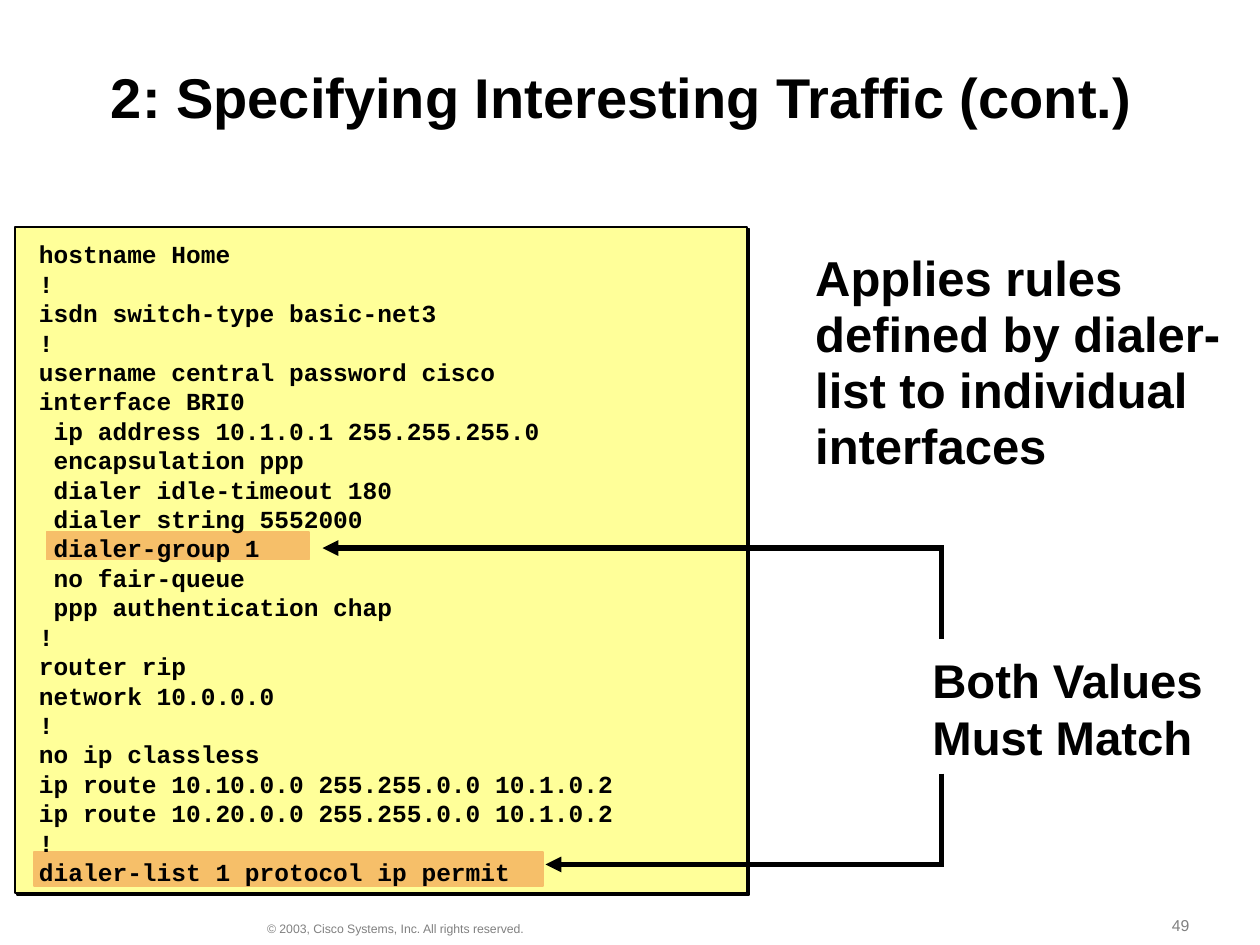
"""Build the slide that matches a dialer-group with its dialer-list."""
from lxml.etree import SubElement
from pptx import Presentation
from pptx.dml.color import RGBColor
from pptx.enum.shapes import MSO_SHAPE
from pptx.enum.text import MSO_ANCHOR, PP_ALIGN
from pptx.oxml.ns import qn
from pptx.util import Inches, Pt

BLACK = RGBColor(0x00, 0x00, 0x00)
GRAY = RGBColor(0x80, 0x80, 0x80)
YELLOW = RGBColor(0xFF, 0xFF, 0x99)
ORANGE = RGBColor(0xF6, 0xBF, 0x69)

TITLE = "2: Specifying Interesting Traffic (cont.)"
RULE_NOTE = "Applies rules defined by dialer-list to individual interfaces"
MATCH_NOTE = "Both Values\vMust Match"
COPYRIGHT = "© 2003, Cisco Systems, Inc. All rights reserved."
PAGE_NUMBER = "49"
CONFIG = """hostname Home
!
isdn switch-type basic-net3
!
username central password cisco
interface BRI0
 ip address 10.1.0.1 255.255.255.0
 encapsulation ppp
 dialer idle-timeout 180
 dialer string 5552000
 dialer-group 1
 no fair-queue
 ppp authentication chap
!
router rip
network 10.0.0.0
!
no ip classless
ip route 10.10.0.0 255.255.0.0 10.1.0.2
ip route 10.20.0.0 255.255.0.0 10.1.0.2
!
dialer-list 1 protocol ip permit"""

HIGHLIGHTS = [(0.27, 6.76, 4.04, 0.27), (0.37, 4.22, 2.08, 0.22)]
ARROW_X = 7.47
ARROWS = [(5.07, 4.35, 2.56), (6.14, 6.86, 4.33)]


def format_text(box, text, size, color=BLACK, font="Arial", bold=True,
                anchor=MSO_ANCHOR.TOP, insets=(0.09, 0.04), spacing=1.0, wrap=True):
    frame = box.text_frame
    frame.text = text
    frame.word_wrap = wrap
    frame.vertical_anchor = anchor
    frame.margin_left = frame.margin_right = Inches(insets[0])
    frame.margin_top = frame.margin_bottom = Inches(insets[1])
    for para in frame.paragraphs:
        para.alignment = PP_ALIGN.LEFT
        para.line_spacing = spacing
        para.font.name = font
        para.font.size = Pt(size)
        para.font.bold = bold
        para.font.color.rgb = color
    return frame


def add_text(page, place, text, size, **style):
    box = page.shapes.add_textbox(*map(Inches, place))
    return format_text(box, text, size, **style)


def add_rectangle(page, place, fill, line=None):
    box = page.shapes.add_shape(MSO_SHAPE.RECTANGLE, *map(Inches, place))
    box.shadow.inherit = False
    box.fill.solid()
    box.fill.fore_color.rgb = fill
    if line is None:
        box.line.fill.background()
    else:
        box.line.color.rgb = line
        box.line.width = Pt(1)
    return box


def add_hard_shadow(box):
    effects = box.element.spPr.find(qn("a:effectLst"))
    shadow = SubElement(effects, qn("a:outerShdw"), blurRad="0", dist=str(Pt(1.4)),
                        dir="2700000", algn="ctr", rotWithShape="0")
    SubElement(shadow, qn("a:srgbClr"), val=str(BLACK))


def add_bent_arrow(page, start_y, end_y, end_x):
    points = [(Inches(x), Inches(y)) for x, y in ((ARROW_X, end_y), (end_x, end_y))]
    builder = page.shapes.build_freeform(Inches(ARROW_X), Inches(start_y))
    builder.add_line_segments(points, close=False)
    arrow = builder.convert_to_shape()
    arrow.shadow.inherit = False
    arrow.fill.background()
    arrow.line.color.rgb = BLACK
    arrow.line.width = Pt(3)
    outline = arrow.element.spPr.find(qn("a:ln"))
    SubElement(outline, qn("a:miter"), lim="800000")
    SubElement(outline, qn("a:tailEnd"), type="triangle")


def main():
    deck = Presentation()
    deck.slide_width, deck.slide_height = Inches(10), Inches(7.5)
    page = deck.slides.add_slide(deck.slide_layouts[5])

    title = page.shapes.title
    title.left, title.top, title.width, title.height = map(Inches, (0.79, 0.17, 8.33, 1.26))
    format_text(title, TITLE, 32, anchor=MSO_ANCHOR.MIDDLE, spacing=0.9)

    footer = dict(color=GRAY, bold=False, anchor=MSO_ANCHOR.BOTTOM, wrap=False)
    add_text(page, (9.21, 7.22, 0.75, 0.24), PAGE_NUMBER, 9, **footer)
    add_text(page, (2.03, 7.26, 2.22, 0.21), COPYRIGHT, 7, **footer)

    add_hard_shadow(add_rectangle(page, (0.12, 1.8, 5.81, 5.29), YELLOW, BLACK))
    add_rectangle(page, (0.18, 1.9, 5.71, 5.11), YELLOW)
    note = add_text(page, (5.95, 1.79, 4.05, 2.2), RULE_NOTE, 28,
                    anchor=MSO_ANCHOR.MIDDLE, spacing=0.95)
    note.margin_left = Inches(0.52)

    for place in HIGHLIGHTS:
        add_rectangle(page, place, ORANGE, ORANGE)
    add_text(page, (0.2, 1.85, 5.57, 5.25), CONFIG, 14, font="Courier New",
             insets=(0.11, 0.05))
    add_text(page, (7.29, 5.12, 2.39, 1.01), MATCH_NOTE, 27,
             insets=(0.11, 0.05), wrap=False)
    for arrow in ARROWS:
        add_bent_arrow(page, *arrow)

    deck.save("out.pptx")


if __name__ == "__main__":
    main()
